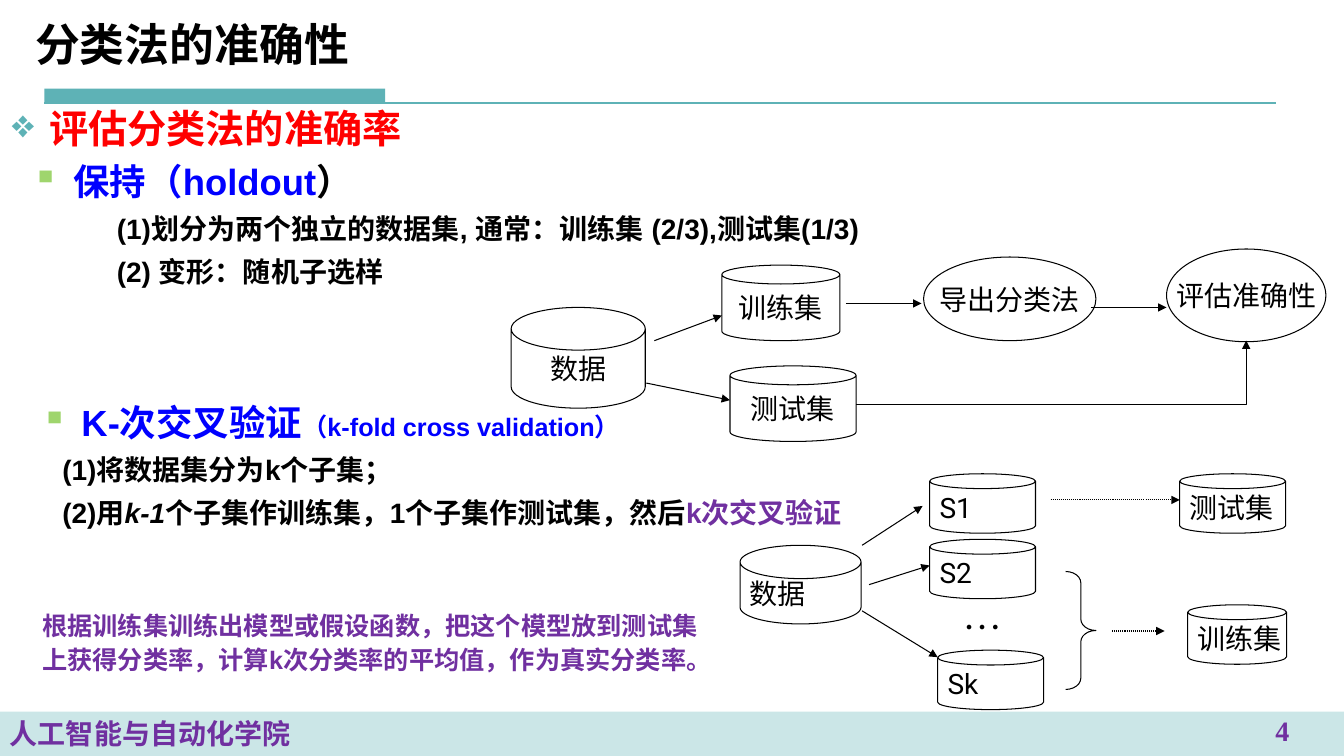
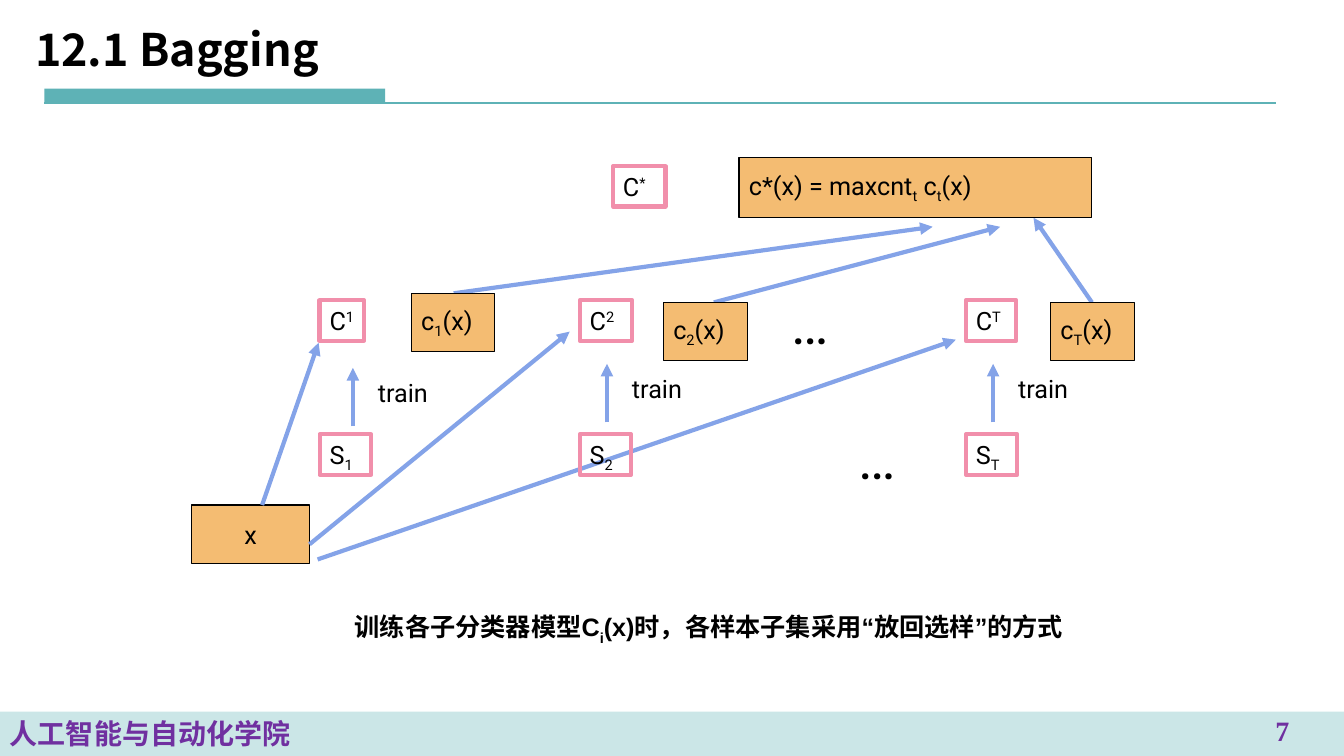
import dataclasses

import lxml.etree
import pptx
import pptx.dml.color
import pptx.enum.dml
import pptx.enum.shapes
import pptx.enum.text
import pptx.oxml.ns
import pptx.util

Inches = pptx.util.Inches
Pt = pptx.util.Pt
Shapes = pptx.enum.shapes.MSO_SHAPE
Connectors = pptx.enum.shapes.MSO_CONNECTOR
Align = pptx.enum.text.PP_ALIGN
Anchor = pptx.enum.text.MSO_ANCHOR
qn = pptx.oxml.ns.qn


@dataclasses.dataclass(frozen=True)
class Style:
    """Describe how a run of text looks."""
    size: float
    color: str = "000000"
    font: str = "Arial"
    bold: bool = False
    italic: bool = False
    baseline: int = 0

    def but(self, **changes):
        """Return this style with some changes."""
        return dataclasses.replace(self, **changes)


class Theme:
    """Keep the colours and type styles of the deck."""
    teal, green, pink, blue, orange = "5EB2B6", "9FD56D", "F18FAB", "84A3E8", "F4BC72"
    black, white = "000000", "FFFFFF"
    title = Style(32, font="Noto Sans CJK SC", bold=True)
    footer = Style(20, "7030A0", bold=True)
    number = footer.but(font="Times New Roman")
    topic = Style(28, "FF0000", bold=True)
    method = Style(26, "0000FF", bold=True)
    step = Style(20, bold=True)
    remark = Style(18, "7030A0", bold=True)
    caption = Style(18, bold=True)
    node = Style(20, font="Roboto")
    formula = Style(18, font="Roboto")
    dots = Style(28, font="Times New Roman")
    ellipsis = Style(40, font="Roboto")


def rgb(color):
    """Turn a hex string into a colour."""
    return pptx.dml.color.RGBColor.from_string(color)


def add_runs(paragraph, runs):
    """Add (text, style) runs to a paragraph."""
    for text, style in runs:
        run = paragraph.add_run()
        run.text = text
        font = run.font
        font.size, font.name = Pt(style.size), style.font
        font.bold, font.italic = style.bold, style.italic
        font.color.rgb = rgb(style.color)
        properties = run._r.get_or_add_rPr()
        if style.baseline:
            properties.set("baseline", str(style.baseline * 1000))
        east_asian = lxml.etree.Element(qn("a:ea"), typeface=style.font)
        properties.find(qn("a:latin")).addnext(east_asian)


def scripted(style, *parts):
    """Make runs from texts and (text, baseline) pairs."""
    return [(part, style) if isinstance(part, str) else (part[0], style.but(baseline=part[1]))
            for part in parts]


def indent(paragraph, margin, hanging=0, bullet=None, color=None):
    """Set the indent of a paragraph and its bullet."""
    properties = paragraph._p.get_or_add_pPr()
    properties.set("marL", str(Inches(margin)))
    properties.set("indent", str(-Inches(hanging)))
    if bullet:
        tint = lxml.etree.SubElement(properties, qn("a:buClr"))
        lxml.etree.SubElement(tint, qn("a:srgbClr"), val=color)
        lxml.etree.SubElement(properties, qn("a:buChar"), char=bullet)


def fill_frame(frame, runs, align, anchor, wrap):
    """Fill the first paragraph of a text frame and return it."""
    frame.word_wrap, frame.vertical_anchor = wrap, anchor
    first = frame.paragraphs[0]
    first.alignment = align
    add_runs(first, runs)
    return first


@dataclasses.dataclass
class Region:
    """Place parts on a slide relative to a corner."""
    slide: object
    left: float = 0
    top: float = 0

    def box(self, left, top, width, height):
        """Return the absolute place of a part."""
        return (Inches(self.left + left), Inches(self.top + top), Inches(width), Inches(height))

    def text(self, place, runs, align=Align.LEFT, anchor=Anchor.TOP, wrap=True):
        """Add a text box and return its text frame."""
        frame = self.slide.shapes.add_textbox(*self.box(*place)).text_frame
        fill_frame(frame, runs, align, anchor, wrap)
        return frame

    def shape(self, kind, place, runs=(), fill=None, line=Theme.black, weight=0.75,
              align=Align.LEFT, anchor=Anchor.MIDDLE, adjust=()):
        """Add a preset shape with text."""
        shape = self.slide.shapes.add_shape(kind, *self.box(*place))
        shape.shadow.inherit = False
        for index, value in enumerate(adjust):
            shape.adjustments[index] = value
        if fill:
            shape.fill.solid()
            shape.fill.fore_color.rgb = rgb(fill)
        else:
            shape.fill.background()
        if line:
            shape.line.color.rgb = rgb(line)
            shape.line.width = Pt(weight)
        else:
            shape.line.fill.background()
        fill_frame(shape.text_frame, runs, align, anchor, False)
        return shape

    def line(self, start, end, color=Theme.black, weight=0.75, arrow=True, dotted=False,
             kind=Connectors.STRAIGHT):
        """Add a connector between two points."""
        start_x, start_y, end_x, end_y = self.box(*start, 0, 0)[:2] + self.box(*end, 0, 0)[:2]
        line = self.slide.shapes.add_connector(kind, start_x, start_y, end_x, end_y)
        line.line.color.rgb = rgb(color)
        line.line.width = Pt(weight)
        if dotted:
            line.line.dash_style = pptx.enum.dml.MSO_LINE.ROUND_DOT
        outline = line._element.spPr.find(qn("a:ln"))
        if arrow:
            lxml.etree.SubElement(outline, qn("a:tailEnd"), type="triangle")
        lxml.etree.SubElement(line._element.spPr, qn("a:effectLst"))
        return line

    def can(self, place, label, align=Align.LEFT, lid=0.25):
        """Add a data store."""
        self.shape(Shapes.CAN, place, [(label, Theme.node)], Theme.white, align=align, adjust=[lid])

    def framed(self, place, *parts):
        """Add a pink frame around a symbol."""
        self.shape(Shapes.RECTANGLE, place, scripted(Theme.formula, *parts), line=Theme.pink,
                   weight=3, anchor=Anchor.TOP)

    def formula(self, place, *parts, align=Align.LEFT):
        """Add an orange box with a formula."""
        self.shape(Shapes.RECTANGLE, place, scripted(Theme.formula, *parts), Theme.orange,
                   align=align)

    def flow(self, start, end):
        """Add a thick blue arrow."""
        self.line(start, end, Theme.blue, 3)


def new_slide(deck, title, number, title_top):
    """Add a slide with its title, rule, band and number."""
    slide = deck.slides.add_slide(deck.slide_layouts[6])
    page = Region(slide)
    page.shape(Shapes.RECTANGLE, (0.44, 0.88, 3.38, 0.14), fill=Theme.teal, line=None)
    page.line((0.44, 1.02), (12.66, 1.02), Theme.teal, 1.5, arrow=False)
    band = page.shape(Shapes.RECTANGLE, (0, 7.06, 13.33, 0.44),
                      [("人工智能与自动化学院", Theme.footer)], Theme.teal, None, anchor=Anchor.TOP)
    tint = band._element.spPr.find(qn("a:solidFill"))[0]
    lxml.etree.SubElement(tint, qn("a:alpha"), val="32000")
    page.text((12.11, 7.03, 1.22, 0.39), [(number, Theme.number)], Align.CENTER)
    page.text((0.25, title_top, 9, 0.62), [(title, Theme.title)], anchor=Anchor.MIDDLE)
    return slide


def add_steps(frame, margin, steps):
    """Add the numbered steps below a method's heading."""
    for runs in steps:
        step = frame.add_paragraph()
        indent(step, margin)
        step.space_before, step.line_spacing = Pt(4), 1.1
        add_runs(step, runs)


def holdout_text(slide, left, top):
    """Set the topic and the holdout method."""
    frame = Region(slide, left, top).text((0, 0, 12, 2.2), [("评估分类法的准确率", Theme.topic)])
    indent(frame.paragraphs[0], 0.37, 0.37, "❖", Theme.teal)
    method = frame.add_paragraph()
    indent(method, 0.61, 0.41, "▪", Theme.green)
    method.space_before = Pt(5.2)
    add_runs(method, [("保持（holdout", Theme.method), ("）", Theme.method.but(color=Theme.black))])
    add_steps(frame, 1.04, [
        [("(1)划分为两个独立的数据集, 通常：训练集 (2/3),测试集(1/3)", Theme.step)],
        [("(2) 变形：随机子选样", Theme.step)]])


def k_fold_text(slide, left, top):
    """Set the cross validation method."""
    step = Theme.step
    frame = Region(slide, left, top).text((0, 0, 12, 1.6), [
        ("K-次交叉验证", Theme.method),
        ("（k-fold cross validation）", Theme.method.but(size=18))])
    indent(frame.paragraphs[0], 0.69, 0.4, "▪", Theme.green)
    add_steps(frame, 0.5, [
        [("(1)将数据集分为k个子集；", step)],
        [("(2)用", step), ("k-1", step.but(italic=True)),
         ("个子集作训练集，1个子集作测试集，然后", step),
         ("k次交叉验证", step.but(color=Theme.remark.color))]])


def holdout_diagram(slide, left, top):
    """Draw the split into training and test sets."""
    region = Region(slide, left, top)
    region.can((0, 0.58, 1.33, 1), "数据", Align.CENTER, 0.424)
    region.can((2.09, 0.16, 1.17, 0.75), "训练集", Align.CENTER)
    region.can((2.17, 1.16, 1.25, 0.75), "测试集", Align.CENTER)
    for place, label in (((4.09, 0.08, 1.71, 0.83), "导出分类法"),
                         ((6.5, 0, 1.58, 0.92), "评估准确性")):
        region.shape(Shapes.OVAL, place, [(label, Theme.node)], Theme.white, align=Align.CENTER)
    for start, end in (((1.42, 0.91), (2.09, 0.66)), ((1.34, 1.33), (2.17, 1.5)),
                       ((3.32, 0.54), (4.07, 0.54)), ((5.75, 0.58), (6.5, 0.58))):
        region.line(start, end)
    bend = region.line((3.42, 1.54), (7.29, 0.91), kind=Connectors.ELBOW)
    bend._element.spPr.find(qn("a:prstGeom")).set("prst", "bentConnector2")


def k_fold_diagram(slide, left, top):
    """Draw the k subsets and their use."""
    region = Region(slide, left, top)
    region.can((0, 0.71, 1.2, 0.78), "数据", lid=0.424)
    for x, y, width, label in ((1.88, 0, 1.05, "S1"), (1.88, 0.65, 1.05, "S2"),
                               (1.96, 1.75, 1.05, "Sk"), (4.44, 1.3, 0.98, "训练集"),
                               (4.36, 0, 1.05, "测试集")):
        region.can((x, y, width, 0.59), label)
    for start, end in (((1.21, 0.71), (1.81, 0.32)), ((1.28, 1.1), (1.88, 0.91)),
                       ((1.21, 1.36), (1.96, 1.82))):
        region.line(start, end)
    region.shape(Shapes.RECTANGLE, (2.11, 1.3, 0.68, 0.39), [("···", Theme.dots)],
                 Theme.white, Theme.white)
    region.shape(Shapes.RIGHT_BRACE, (3.23, 0.97, 0.3, 1.17), adjust=[0.375, 0.5])
    region.line((3.08, 0.26), (4.36, 0.26), dotted=True)
    region.line((3.69, 1.56), (4.21, 1.56), dotted=True)


def accuracy_slide(deck):
    """Build the slide on estimating accuracy."""
    slide = new_slide(deck, "分类法的准确性", "4", 0.12)
    holdout_diagram(slide, 5.07, 2.47)
    holdout_text(slide, 0.02, 0.99)
    k_fold_text(slide, 0.02, 3.92)
    remark = Region(slide).text((0.32, 5.98, 6.75, 0.77), [(
        "根据训练集训练出模型或假设函数，把这个模型放到测试集上获得分类率，"
        "计算k次分类率的平均值，作为真实分类率。", Theme.remark)])
    remark.paragraphs[0].line_spacing = 1.1
    k_fold_diagram(slide, 7.34, 4.7)


def classifier_column(slide, left, top, label, width, score, score_top, shift, drop):
    """Draw one sample, its classifier and its output."""
    region = Region(slide, left, top)
    region.framed((0, 0, width, 0.4), "C", (label, 30))
    region.framed((0, 1.33, 0.51, 0.4), "S", (label, -25))
    region.flow((0.27 + shift, 1.21 + drop), (0.27 + shift, 0.63 + drop))
    region.text((0.42 + shift, 0.67 + drop, 0.7, 0.4), [("train", Theme.formula)], wrap=False)
    region.formula((score, score_top, 0.83, 0.58), "c", (label, -25), "(x)")


def bagging_diagram(slide, left, top):
    """Draw the sampling, training and voting of bagging."""
    region = Region(slide, left, top)
    region.formula((0, 3.45, 1.17, 0.58), "x", align=Align.CENTER)
    for start, end in (((0.7, 3.45), (1.26, 1.84)), ((1.17, 3.84), (3.75, 1.73)),
                       ((1.25, 3.99), (7.58, 1.81)), ((2.6, 1.35), (7.35, 0.69)),
                       ((5.18, 1.44), (8.02, 0.69)), ((8.93, 1.44), (8.35, 0.6))):
        region.flow(start, end)
    for x, label, width, score, score_top, shift, drop in (
            (1.27, "1", 0.44, 0.91, -0.07, 0.06, 0.04),
            (3.85, "2", 0.52, 0.83, 0.02, 0, 0),
            (7.68, "T", 0.5, 0.84, 0.02, 0, 0)):
        classifier_column(slide, left + x, top + 1.42, label, width, score, score_top, shift, drop)
    for x, y in ((5.85, 1.25), (6.52, 2.59)):
        region.text((x, y, 0.66, 0.77), [("…", Theme.ellipsis)], wrap=False)
    region.framed((4.18, 0.09, 0.52, 0.4), "C", ("*", 30))
    region.formula((5.43, 0, 3.5, 0.6), "c*(x) = maxcnt", ("t", -25), " c", ("t", -25), "(x)")


def bagging_slide(deck):
    """Build the slide on bagging."""
    slide = new_slide(deck, "12.1 Bagging", "7", 0.17)
    bagging_diagram(slide, 1.9, 1.56)
    Region(slide).text((3.42, 6.02, 7.3, 0.7), scripted(
        Theme.caption, "训练各子分类器模型C", ("i", -25), "(x)时，各样本子集采用“放回选样”的方式"))


def main():
    """Build and save the deck."""
    deck = pptx.Presentation()
    deck.slide_width, deck.slide_height = Inches(13.33), Inches(7.5)
    accuracy_slide(deck)
    bagging_slide(deck)
    deck.save("out.pptx")


if __name__ == "__main__":
    main()
